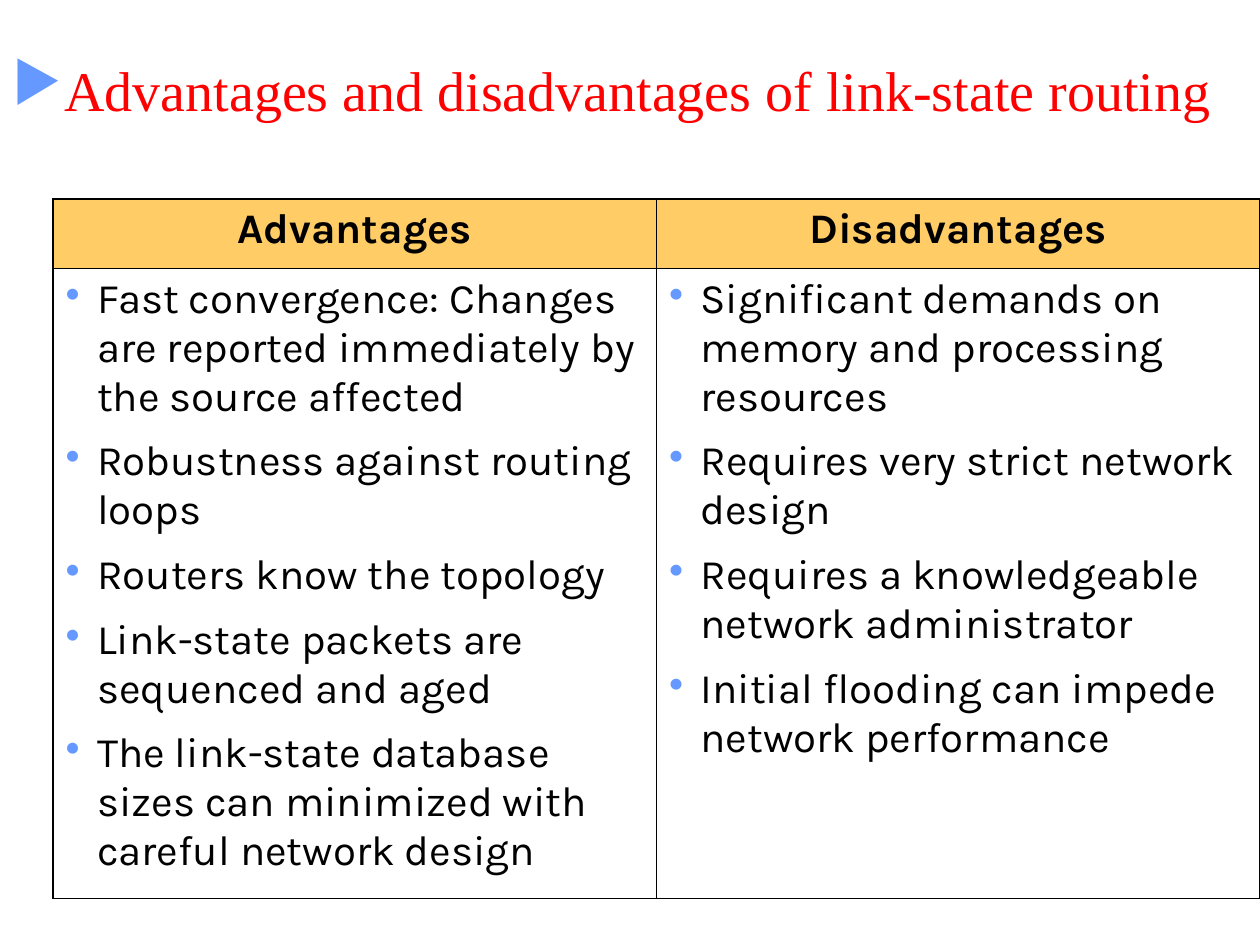
from lxml import etree
from pptx import Presentation
from pptx.dml.color import RGBColor
from pptx.enum.text import MSO_ANCHOR, PP_ALIGN
from pptx.oxml.ns import qn
from pptx.util import Inches, Pt

MIDDLE = MSO_ANCHOR.MIDDLE
LEFT, CENTER = PP_ALIGN.LEFT, PP_ALIGN.CENTER
WIDE, HIGH = Inches(10), Inches(7.5)
RED, BLACK, BLUE, GOLD = "FF0000", "000000", "6699FF", "FFCC66"
THICK, THIN = 1.08, 0.45

LISTS = {
    "Advantages": [
        "Fast convergence: Changes are reported immediately by the source affected",
        "Robustness against routing loops",
        "Routers know the topology",
        "Link-state packets are sequenced and aged",
        "The link-state database sizes can minimized with careful network design",
    ],
    "Disadvantages": [
        "Significant demands on memory and processing resources",
        "Requires very strict network design",
        "Requires a knowledgeable network administrator",
        "Initial flooding can impede network performance",
    ],
}


def paint(code):
    return RGBColor.from_string(code)


def across(share):
    return round(WIDE * share)


def down(share):
    return round(HIGH * share)


class Page:
    face, size, gap, hang = "Karla", 24, 9, 0.25

    def __init__(self, slide):
        self.slide = slide

    def bullet(self, para, mark, hang):
        props = para._p.get_or_add_pPr()
        props.set("marL", str(Inches(hang)))
        props.set("indent", str(-Inches(hang)))
        tint = etree.SubElement(props, qn("a:buClr"))
        etree.SubElement(tint, qn("a:srgbClr"), val=BLUE)
        etree.SubElement(props, qn("a:buChar"), char=mark)

    def style(self, para, face, size, color, bold=False):
        font = para.font
        font.name, font.size, font.bold = face, Pt(size), bold
        font.color.rgb = paint(color)

    def title(self, text, left, top, width, height):
        box = self.slide.shapes.add_textbox(
            across(left), down(top), across(width), down(height))
        frame = box.text_frame
        frame.word_wrap = True
        frame.vertical_anchor = MIDDLE
        para = frame.paragraphs[0]
        para.text = text
        self.bullet(para, "▶", 0)
        self.style(para, "Times New Roman", 32, RED)

    def edges(self, cell, sides):
        props = cell._tc.get_or_add_tcPr()
        for side, width in sides.items():
            line = etree.SubElement(props, qn("a:ln" + side), w=str(Pt(width)))
            fill = etree.SubElement(line, qn("a:solidFill"))
            etree.SubElement(fill, qn("a:srgbClr"), val=BLACK)

    def cell(self, cell, items, head, first):
        self.edges(cell, {
            "L": THICK if first else THIN,
            "R": THIN if first else THICK,
            "T": THICK if head else THIN,
            "B": THIN if head else THICK,
        })
        if head:
            cell.fill.solid()
            cell.fill.fore_color.rgb = paint(GOLD)
        else:
            cell.fill.background()
        frame = cell.text_frame
        for spot, item in enumerate(items):
            para = frame.add_paragraph() if spot else frame.paragraphs[0]
            para.text = item
            para.alignment = CENTER if head else LEFT
            if spot:
                para.space_before = Pt(self.gap)
            if not head:
                self.bullet(para, "•", self.hang)
            self.style(para, self.face, self.size, BLACK, head)

    def table(self, lists, left, top, width, rows):
        frame = self.slide.shapes.add_table(
            len(rows), len(lists), across(left), down(top),
            across(width), down(sum(rows)))
        grid = frame.table
        grid.first_row = grid.horz_banding = False
        for row, share in zip(grid.rows, rows):
            row.height = down(share)
        for col, (name, items) in enumerate(lists.items()):
            self.cell(grid.cell(0, col), [name], True, col == 0)
            self.cell(grid.cell(1, col), items, False, col == 0)


def main():
    deck = Presentation()
    deck.slide_width, deck.slide_height = WIDE, HIGH
    page = Page(deck.slides.add_slide(deck.slide_layouts[6]))
    page.title("Advantages and disadvantages of link-state routing",
               0, 0.33 / 7.5, 1, 0.1)
    page.table(LISTS, 0.042, 1.58 / 7.5, 0.958, [0.55 / 7.5, 5 / 7.5])
    deck.save("out.pptx")


if __name__ == "__main__":
    main()
